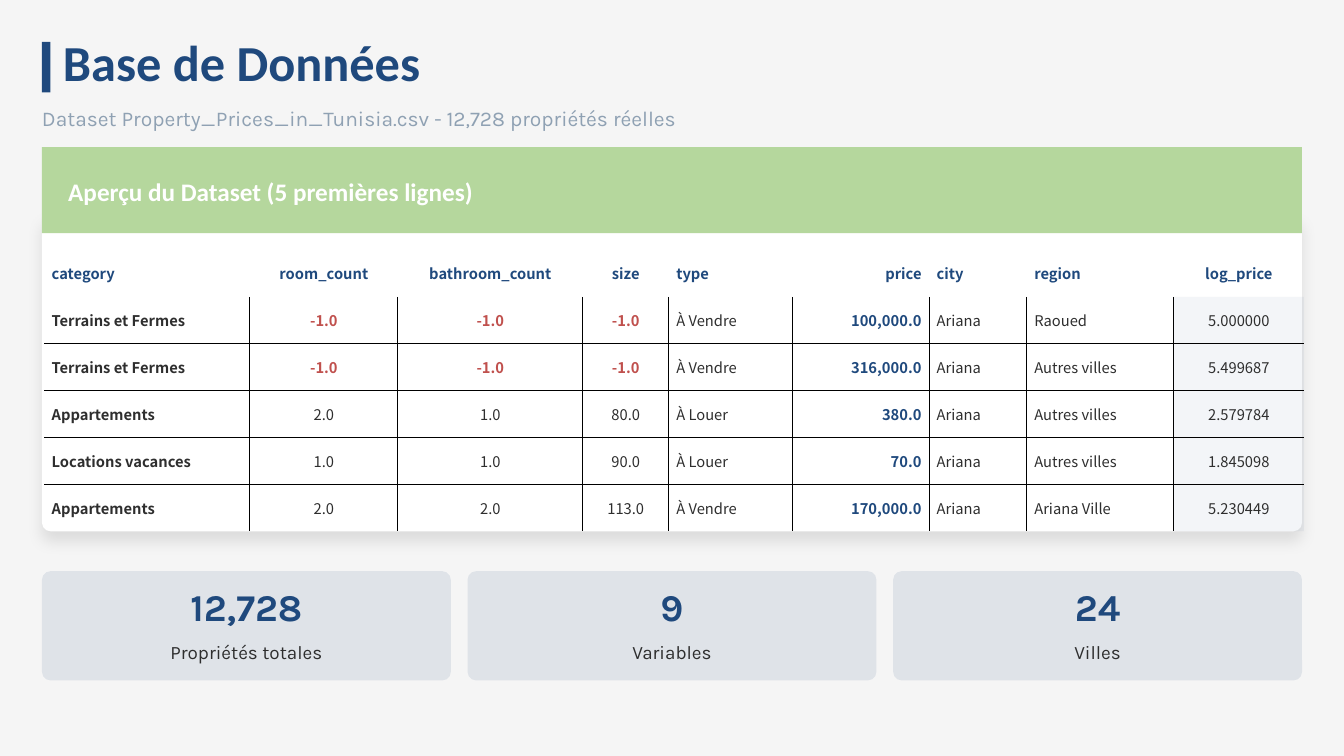
from dataclasses import dataclass

from lxml.etree import SubElement
from pptx import Presentation
from pptx.dml.color import RGBColor
from pptx.enum.shapes import MSO_SHAPE as Shape
from pptx.enum.text import MSO_ANCHOR as Anchor, PP_ALIGN as Align
from pptx.oxml.ns import qn
from pptx.util import Pt

PX = 12700  # EMU per px, on a page 1280 px wide


@dataclass(frozen=True)
class Theme:
    page: str = "F5F5F5"
    navy: str = "1F497D"
    green: str = "B5D79D"
    red: str = "C0504D"
    grey: str = "8FA1B3"
    ink: str = "2E2E2E"
    white: str = "FFFFFF"
    black: str = "000000"
    heading_font: str = "Calibri"
    body_font: str = "Karla"
    table_font: str = "Noto Sans CJK SC"
    title_size: int = 48
    number_size: int = 36
    band_size: int = 24
    subtitle_size: int = 20
    label_size: int = 18
    cell_size: int = 14


COLUMNS = [
    ("category", 196, Align.LEFT),
    ("room_count", 141, Align.CENTER),
    ("bathroom_count", 176, Align.CENTER),
    ("size", 82, Align.CENTER),
    ("type", 118, Align.LEFT),
    ("price", 130, Align.RIGHT),
    ("city", 93, Align.LEFT),
    ("region", 140, Align.LEFT),
    ("log_price", 124, Align.CENTER),
]
ROWS = [
    ("Terrains et Fermes", "-1.0", "-1.0", "-1.0", "À Vendre", "100,000.0", "Ariana", "Raoued", "5.000000"),
    ("Terrains et Fermes", "-1.0", "-1.0", "-1.0", "À Vendre", "316,000.0", "Ariana", "Autres villes", "5.499687"),
    ("Appartements", "2.0", "1.0", "80.0", "À Louer", "380.0", "Ariana", "Autres villes", "2.579784"),
    ("Locations vacances", "1.0", "1.0", "90.0", "À Louer", "70.0", "Ariana", "Autres villes", "1.845098"),
    ("Appartements", "2.0", "2.0", "113.0", "À Vendre", "170,000.0", "Ariana", "Ariana Ville", "5.230449"),
]
STATS = [("12,728", "Propriétés totales"), ("9", "Variables"), ("24", "Villes")]


class DatasetPage:
    def __init__(self, deck, theme):
        self.theme = theme
        self.page = deck.slides.add_slide(deck.slide_layouts[6])
        self.paint(self.page.background.fill, theme.page)

    def frame(self, *lengths):
        return [round(length * PX) for length in lengths]

    def paint(self, fill, colour, opacity=100):
        fill.solid()
        fill.fore_color.rgb = RGBColor.from_string(colour)
        if opacity < 100:
            tint = fill._xPr.find(qn("a:solidFill")).find(qn("a:srgbClr"))
            SubElement(tint, qn("a:alpha"), val=str(opacity * 1000))

    def panel(self, x, y, width, height, colour, opacity=100, radius=0):
        kind = Shape.ROUNDED_RECTANGLE if radius else Shape.RECTANGLE
        shape = self.page.shapes.add_shape(kind, *self.frame(x, y, width, height))
        if radius:
            shape.adjustments[0] = radius / min(width, height)
        shape.shadow.inherit = False
        shape.line.fill.background()
        self.paint(shape.fill, colour, opacity)
        return shape

    def drop_shadow(self, shape, blur, distance, opacity):
        effects = shape._element.spPr.find(qn("a:effectLst"))
        shadow = SubElement(effects, qn("a:outerShdw"), blurRad=str(blur * PX),
                            dist=str(distance * PX), dir="5400000", rotWithShape="0")
        tint = SubElement(shadow, qn("a:srgbClr"), val=self.theme.black)
        SubElement(tint, qn("a:alpha"), val=str(opacity * 1000))

    def span(self, para, text, font, size, colour, bold):
        span = para.add_run()
        span.text = text
        span.font.name = font
        span.font.size = Pt(size)
        span.font.bold = bold
        span.font.color.rgb = RGBColor.from_string(colour)

    def text(self, x, y, width, height, text, font, size, colour,
             bold=False, align=Align.LEFT, spacing=1.0):
        box = self.page.shapes.add_textbox(*self.frame(x, y, width, height))
        frame = box.text_frame
        frame.margin_left = frame.margin_right = frame.margin_top = frame.margin_bottom = 0
        frame.word_wrap = True
        frame.vertical_anchor = Anchor.MIDDLE
        para = frame.paragraphs[0]
        para.alignment = align
        para.line_spacing = spacing
        self.span(para, text, font, size, colour, bold)

    def borders(self, cell, edges):
        """Draw the edges that have a colour and clear the others."""
        properties = cell._tc.get_or_add_tcPr()
        for side in "LRTB":
            line = SubElement(properties, qn(f"a:ln{side}"), w=str(PX))
            if edges.get(side):
                fill = SubElement(line, qn("a:solidFill"))
                SubElement(fill, qn("a:srgbClr"), val=edges[side])
            else:
                SubElement(line, qn("a:noFill"))

    def cell_style(self, row, name, value):
        """Return the colour and weight of a cell's text."""
        theme = self.theme
        if row == 0 or name == "price":
            return theme.navy, True
        if value == "-1.0":
            return theme.red, True
        return theme.ink, name == "category"

    def table(self, x, y, width, height, columns, rows):
        theme = self.theme
        lines = [[name for name, _, _ in columns], *rows]
        table = self.page.shapes.add_table(
            len(lines), len(columns), *self.frame(x, y, width, height)).table
        table.first_row = table.horz_banding = False
        for column, (_, column_width, _) in zip(table.columns, columns):
            column.width = column_width * PX
        last_row, last_column = len(lines) - 1, len(columns) - 1
        for r, values in enumerate(lines):
            table.rows[r].height = round(height * PX / len(lines))
            rule = theme.black if r else theme.white
            for c, (value, (name, _, align)) in enumerate(zip(values, columns)):
                cell = table.cell(r, c)
                self.borders(cell, {
                    "L": rule if c > 0 else None,
                    "R": rule if c < last_column else None,
                    "T": rule if r > 1 else None,
                    "B": rule if 0 < r < last_row else None,
                })
                if r and name == "log_price":
                    self.paint(cell.fill, theme.navy, 5)
                else:
                    cell.fill.background()
                cell.vertical_anchor = Anchor.MIDDLE
                para = cell.text_frame.paragraphs[0]
                para.alignment = align
                colour, bold = self.cell_style(r, name, value)
                self.span(para, value, theme.table_font, theme.cell_size, colour, bold)

    def stat(self, x, y, width, number, label):
        theme = self.theme
        self.panel(x, y, width, 104, theme.navy, opacity=10, radius=8)
        self.text(x + 11, y + 16, width - 22, 40, number, theme.body_font,
                  theme.number_size, theme.navy, True, Align.CENTER, 0.9)
        self.text(x + 15, y + 60, width - 30, 28, label, theme.body_font,
                  theme.label_size, theme.ink, False, Align.CENTER, 1.3)


def main():
    deck = Presentation()
    deck.slide_width, deck.slide_height = 1280 * PX, 720 * PX
    theme = Theme()
    page = DatasetPage(deck, theme)
    left, width = 40, 1200

    page.panel(left, 40, 8, 48, theme.navy)
    page.text(60, 40, 388, 48, "Base de Données", theme.heading_font,
              theme.title_size, theme.navy, bold=True, spacing=0.8)
    page.text(left, 96, 1210, 28,
              "Dataset Property_Prices_in_Tunisia.csv - 12,728 propriétés réelles",
              theme.body_font, theme.subtitle_size, theme.grey, spacing=1.2)

    card = page.panel(left, 204, width, 302, theme.white, radius=8)
    page.drop_shadow(card, blur=15, distance=10, opacity=10)
    page.panel(left, 140, width, 82, theme.green)
    page.text(65, 165, 1164, 32, "Aperçu du Dataset (5 premières lignes)",
              theme.heading_font, theme.band_size, theme.white, bold=True, spacing=1.1)
    page.table(42, 238, width, 268, COLUMNS, ROWS)

    gap = 16
    stat_width = (width - gap * (len(STATS) - 1)) / len(STATS)
    for i, (number, label) in enumerate(STATS):
        page.stat(left + i * (stat_width + gap), 544, stat_width, number, label)

    deck.save("out.pptx")


if __name__ == "__main__":
    main()
